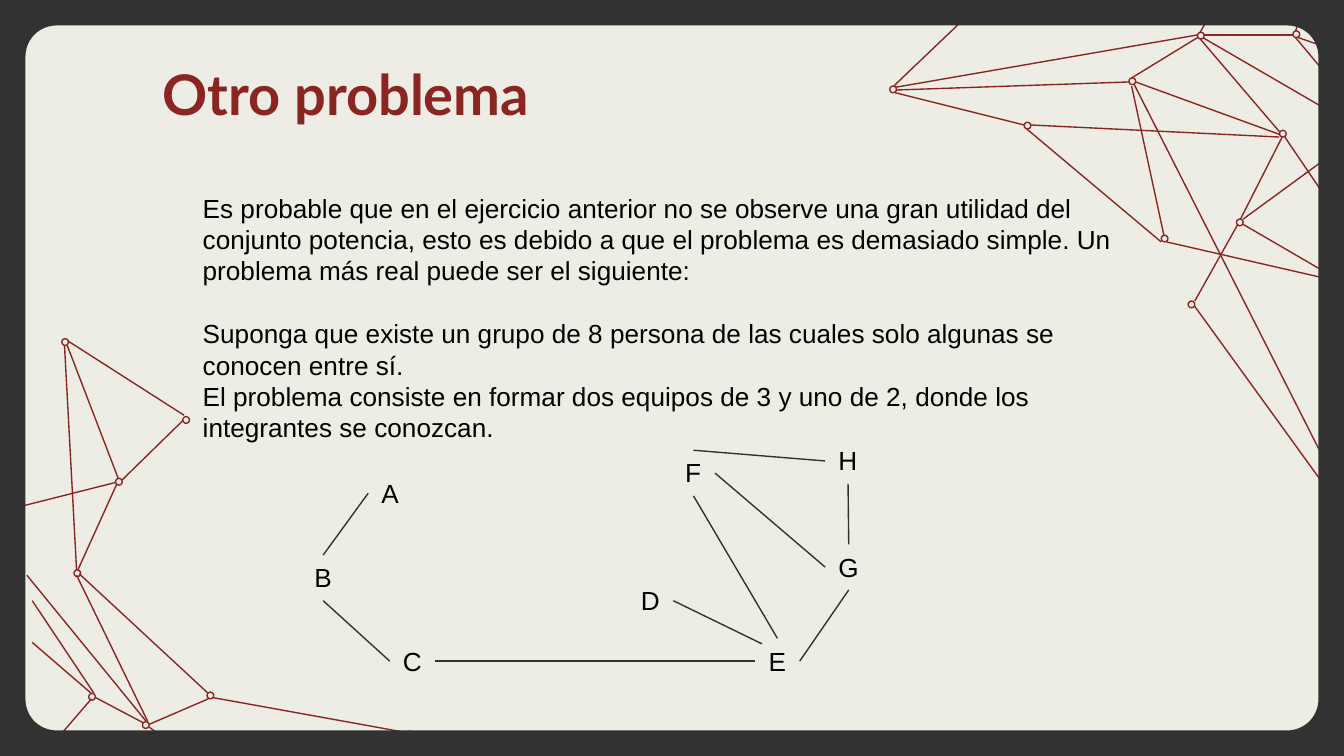
"""Build the slide "Otro problema" with its network decoration and friendship graph."""
import math

from lxml import etree
from pptx import Presentation, util as u
from pptx.dml.color import RGBColor
from pptx.enum import shapes, text
from pptx.oxml.ns import qn

RED = RGBColor(0x8A, 0x25, 0x22)
DARK = RGBColor(0x32, 0x32, 0x32)
EDGE = RGBColor(0x31, 0x31, 0x31)
CREAM = RGBColor(0xED, 0xED, 0xE5)
BLACK = RGBColor(0, 0, 0)

WIDTH = 10
HEIGHT = WIDTH * 9 / 16
MARGIN, RADIUS = 0.19, 0.23
NODE = 0.05
LABEL_HEIGHT = 0.34
LINE_PITCH = 16.8

TITLE = "Otro problema"
BODY = [
    "Es probable que en el ejercicio anterior no se observe una gran utilidad del conjunto "
    "potencia, esto es debido a que el problema es demasiado simple. Un problema más real "
    "puede ser el siguiente:",
    "Suponga que existe un grupo de 8 persona de las cuales solo algunas se conocen entre sí.",
    "El problema consiste en formar dos equipos de 3 y uno de 2, donde los integrantes se "
    "conozcan.",
]

PEOPLE = {
    "A": (2.74, 3.5, 0.33), "B": (2.24, 4.13, 0.33), "F": (5, 3.35, 0.32),
    "H": (6.14, 3.26, 0.34), "D": (4.67, 4.3, 0.34), "C": (2.9, 4.75, 0.34),
    "G": (6.14, 4.05, 0.35), "E": (5.62, 4.75, 0.33),
}
SIDES = {"top": (0.5, 0), "left": (0, 0.5), "bottom": (0.5, 1), "right": (1, 0.5),
         "corner": (0.15, 0.12)}
FRIENDS = [
    ("B", "top", "A", "left"), ("B", "bottom", "C", "left"), ("C", "right", "E", "left"),
    ("D", "right", "E", "corner"), ("F", "bottom", "E", "top"), ("H", "bottom", "G", "top"),
    ("G", "left", "F", "right"), ("F", "top", "H", "left"), ("E", "right", "G", "bottom"),
]

LEFT_LINKS = [
    (3.78, 5.75, 3.06, 5.47), (1.58, 5.19, 3.02, 5.45), (0.91, 3.57, 1.36, 3.13),
    (1.11, 5.39, 1.55, 5.2), (0.51, 2.54, 1.37, 3.09), (0.59, 4.27, 1.55, 5.16),
    (0.57, 4.28, 1.1, 5.37), (0.5, 2.57, 0.88, 3.56), (0.48, 2.57, 0.57, 4.24),
    (0.2, 4.28, 1.09, 5.37), (-0.09, 3.83, 0.86, 3.59), (0.24, 4.47, 0.7, 5.16),
    (0.71, 5.19, 1.07, 5.38), (0.25, 5.7, 0.68, 5.2), (0.24, 4.78, 0.68, 5.16),
    (0.58, 4.24, 0.87, 3.6), (1.11, 5.41, 1.72, 5.86),
]
LEFT_NODES = [
    (1.36, 3.1), (3.02, 5.44), (1.54, 5.15), (1.06, 5.37), (0.86, 3.56), (0.55, 4.24),
    (0.66, 5.16), (0.46, 2.52),
]
RIGHT_LINKS = [
    (8.91, 0.26, 6.66, 0.65), (7.29, 0.03, 6.65, 0.64), (8.4, 0.61, 6.67, 0.67),
    (9.21, 1.67, 8.89, 2.24), (8.91, 0.28, 8.42, 0.58), (10.05, 3.81, 8.44, 0.63),
    (9.52, 1.02, 7.67, 0.93), (10.86, 2.3, 8.68, 1.8), (10.02, 3.84, 8.89, 2.28),
    (9.52, 1, 8.45, 0.61), (9.52, 0.98, 8.93, 0.29), (10.23, 2.24, 9.25, 1.67),
    (10.17, 1.92, 9.56, 1.02), (10.31, 1.07, 8.95, 0.28), (10.14, 0.98, 9.25, 1.63),
    (10.15, 0.89, 9.64, 0.28), (9.62, 0.26, 8.96, 0.26), (9.88, -0.48, 9.64, 0.23),
    (10.27, 0.49, 9.66, 0.28), (8.42, 0.64, 8.66, 1.75), (8.64, 1.8, 7.64, 0.96),
    (6.66, 0.69, 7.62, 0.93), (9.54, 1.02, 9.23, 1.63), (8.93, 0.24, 9.19, -0.22),
]
RIGHT_NODES = [
    (8.84, 2.24), (7.62, 0.91), (8.64, 1.75), (6.62, 0.64), (8.4, 0.58), (8.91, 0.24),
    (9.2, 1.63), (9.52, 0.97), (9.62, 0.23),
]


def inches(*values):
    return [u.Inches(v) for v in values]


def add_line(s, ends, color):
    c = s.shapes.add_connector(shapes.MSO_CONNECTOR.STRAIGHT, *inches(*ends))
    c.line.color.rgb = color
    c.line.width = u.Pt(0.75)
    etree.SubElement(c._element.spPr, qn("a:effectLst"))


def add_network(s, links, nodes):
    for ends in links:
        add_line(s, ends, RED)
    for x, y in nodes:
        sp = s.shapes.add_shape(shapes.MSO_SHAPE.OVAL, *inches(x, y, NODE, NODE))
        sp.shadow.inherit = False
        sp.fill.background()
        sp.line.color.rgb = RED
        sp.line.width = u.Pt(0.75)


def add_frame(s):
    near = MARGIN + RADIUS
    right, bottom = WIDTH - near, HEIGHT - near
    centers = [(right, near, -90), (right, bottom, 0), (near, bottom, 90), (near, near, 180)]
    inner = []
    for cx, cy, start in centers:
        for step in range(0, 91, 6):
            angle = math.radians(start + step)
            inner.append(inches(cx + RADIUS * math.cos(angle), cy + RADIUS * math.sin(angle)))
    outer = [inches(*pt) for pt in [(0, 0), (0, HEIGHT), (WIDTH, HEIGHT), (WIDTH, 0)]]
    builder = s.shapes.build_freeform(*inner[0])
    builder.add_line_segments(inner[1:], close=True)
    builder.move_to(*outer[0])
    builder.add_line_segments(outer[1:], close=True)
    sp = builder.convert_to_shape()
    sp.shadow.inherit = False
    sp.fill.solid()
    sp.fill.fore_color.rgb = DARK
    sp.line.fill.background()


def write(tf, paragraphs, *, size=14, font="Arial", color=BLACK, bold=False, wrap=True,
          pitch=LINE_PITCH):
    tf.word_wrap = wrap
    tf.vertical_anchor = text.MSO_ANCHOR.TOP
    for i, words in enumerate(paragraphs):
        p = tf.add_paragraph() if i else tf.paragraphs[0]
        p.alignment = text.PP_ALIGN.LEFT
        if pitch:
            p.line_spacing = u.Pt(pitch)
        r = p.add_run()
        r.text = words
        r.font.size = u.Pt(size)
        r.font.name = font
        r.font.bold = bold
        r.font.color.rgb = color


def add_text(s, box, paragraphs, **fmt):
    tf = s.shapes.add_textbox(*inches(*box)).text_frame
    write(tf, paragraphs, **fmt)
    tf.auto_size = text.MSO_AUTO_SIZE.SHAPE_TO_FIT_TEXT
    return tf


def anchor(person, side):
    x, y, width = PEOPLE[person]
    fx, fy = SIDES[side]
    return x + fx * width, y + fy * LABEL_HEIGHT


def main():
    prs = Presentation()
    prs.slide_width, prs.slide_height = inches(WIDTH, HEIGHT)
    s = prs.slides.add_slide(prs.slide_layouts[5])
    s.background.fill.solid()
    s.background.fill.fore_color.rgb = CREAM

    add_network(s, LEFT_LINKS, LEFT_NODES)
    add_network(s, RIGHT_LINKS, RIGHT_NODES)
    add_frame(s)

    title = s.shapes.title
    title.left, title.top, title.width, title.height = inches(1.11, 0.34, 8.42, 0.63)
    tf = title.text_frame
    tf.margin_left = tf.margin_top = tf.margin_right = tf.margin_bottom = u.Inches(0.1)
    tf.auto_size = text.MSO_AUTO_SIZE.NONE
    write(tf, [TITLE], size=30, font="Lato", color=RED, bold=True, pitch=None)

    body = add_text(s, (1.41, 1.38, 7.19, 1.99), BODY)
    body.paragraphs[1].space_before = u.Pt(LINE_PITCH)

    for name, (x, y, width) in PEOPLE.items():
        add_text(s, (x, y, width, LABEL_HEIGHT), [name], wrap=False)
    for start, start_side, end, end_side in FRIENDS:
        add_line(s, anchor(start, start_side) + anchor(end, end_side), EDGE)

    prs.save("out.pptx")


if __name__ == "__main__":
    main()
